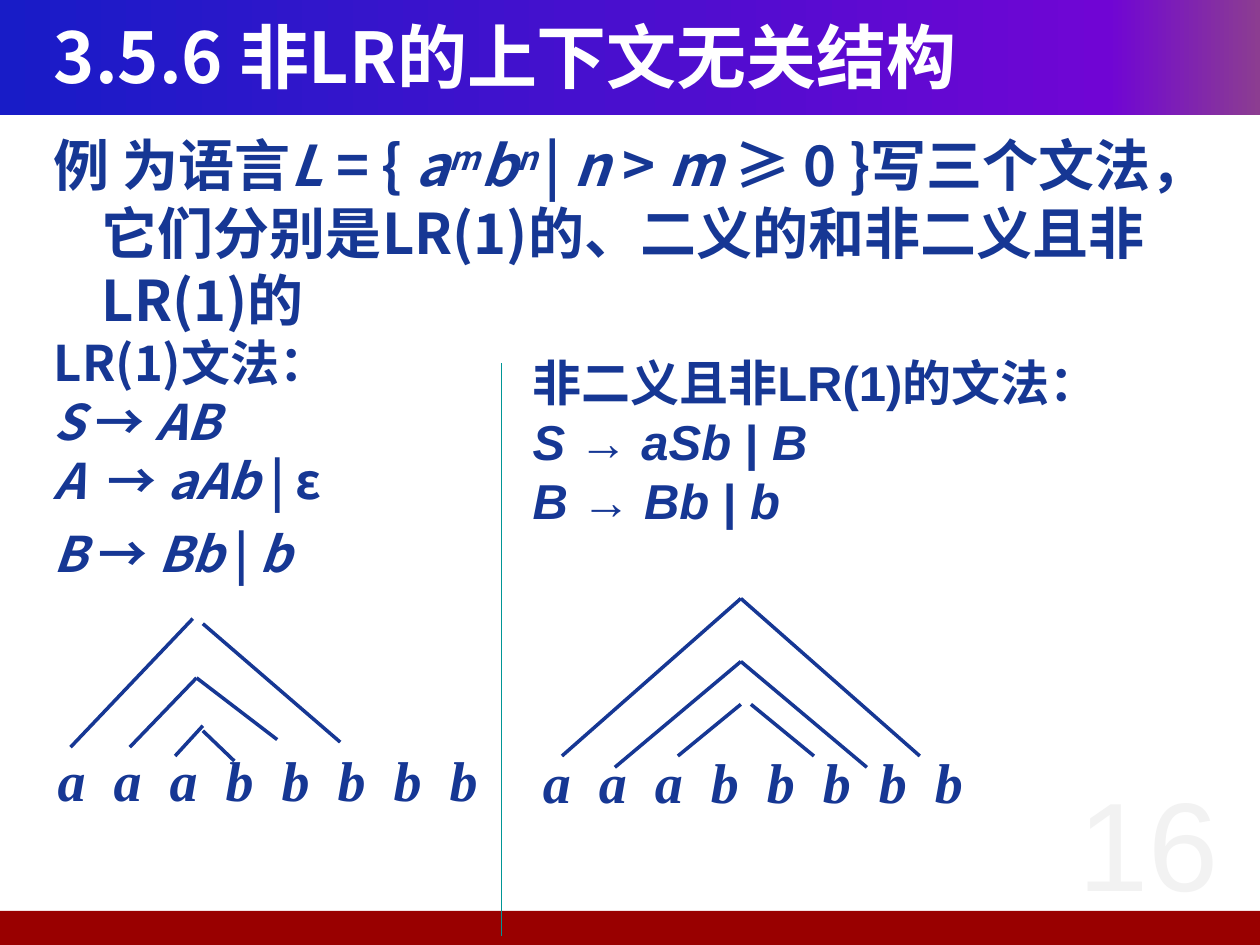
from lxml import etree
from pptx import Presentation
from pptx import util as u
from pptx.dml.color import RGBColor
from pptx.enum import shapes, text
from pptx.oxml.ns import qn

COLORS = {"ink": "163794", "white": "FFFFFF", "footer": "990000",
          "number": "F2F2F2", "divider": "009696"}
BANNER_STOPS = [(0, "181CC7"), (88, "7005D4"), (100, "8C3D91")]
SANS, ARIAL, SERIF = "Noto Sans CJK SC", "Arial", "Times New Roman"

# A run is (text, style flags, optional size); i = italic, ^ = superscript
TITLE = [[("3.5.6 非LR的上下文无关结构", "")]]
EXAMPLE = [
    [("例 为语言", ""), ("L", "i"), (" = { ", ""), ("a", "i"), ("m", "i^"),
     ("b", "i"), ("n ", "i^"), ("| ", ""), ("n", "i"), (" > ", ""), ("m ", "i"),
     ("≥ 0 }写三个文法，它们分别是LR(1)的、二义的和非二义且非LR(1)的", "")],
    [("LR(1)文法：", "", 28)],
    [("S ", "i", 28), ("→ ", "", 28), ("AB", "i", 28)],
    [("A  ", "i", 28), ("→ ", "", 28), ("aAb ", "i", 28), ("| ε", "", 28)],
    [("B ", "i", 28), ("→", "", 28), (" Bb", "i", 28), (" |", "", 28),
     (" b", "i", 28), (" ", "", 36)],
]
UNAMBIGUOUS = [
    [("非二义且非LR(1)的文法：", "")],
    [("S ", "i"), ("→", ""), (" aSb", "i"), (" | ", ""), ("B", "i")],
    [("B ", "i"), ("→ ", ""), ("Bb", "i"), (" | ", ""), ("b", "i")],
]
SENTENCE = [[("  ".join("aaabbbbb"), "i")]]

# Each tree: text corner, then (left foot, left top, right top, right foot)
TREES = [
    ((0.36, 5.87), [
        ((1.39, 6), (1.61, 5.76), (1.61, 5.8), (1.86, 6.04)),
        ((1.03, 5.93), (1.56, 5.38), (1.56, 5.38), (2.2, 5.87)),
        ((0.56, 5.93), (1.53, 4.91), (1.61, 4.95), (2.7, 5.89))]),
    ((4.21, 5.88), [
        ((4.46, 6), (5.88, 4.75), (5.88, 4.75), (7.3, 6)),
        ((4.88, 6.09), (5.88, 5.25), (5.88, 5.25), (6.88, 6.09)),
        ((5.38, 6), (5.88, 5.59), (5.96, 5.59), (6.46, 6))]),
]


def rgb(name):
    """Return the named colour."""
    return RGBColor.from_string(COLORS[name])


def add_bar(parent, left, top, width, height):
    """Add a plain rectangle without line or shadow."""
    bar = parent.add_shape(shapes.MSO_SHAPE.RECTANGLE,
                           *map(u.Inches, (left, top, width, height)))
    bar.shadow.inherit = False
    bar.line.fill.background()
    return bar


def fill_gradient(shape, stops):
    """Fill a shape from left to right with (percent, colour) stops."""
    shape.fill.gradient()
    shape.fill.gradient_angle = 0
    stop_list = shape.fill._fill._gradFill.find(qn("a:gsLst"))
    for old in list(stop_list):
        stop_list.remove(old)
    for percent, color in stops:
        stop = etree.SubElement(stop_list, qn("a:gs"), pos=str(percent * 1000))
        etree.SubElement(stop, qn("a:srgbClr"), val=color)


def add_text(parent, box, paragraphs, size, font=SANS, color="ink", bold=True,
             align=text.PP_ALIGN.LEFT, east_asian=SANS):
    """Add a wrapped text box run by run."""
    shape = parent.add_textbox(*map(u.Inches, box))
    frame = shape.text_frame
    frame.word_wrap = True
    for index, runs in enumerate(paragraphs):
        paragraph = frame.paragraphs[0] if index == 0 else frame.add_paragraph()
        paragraph.alignment = align
        for words, flags, *own_size in runs:
            run = paragraph.add_run()
            run.text = words
            run.font.size = u.Pt(own_size[0] if own_size else size)
            run.font.name = font
            run.font.bold = bold
            run.font.italic = "i" in flags
            run.font.color.rgb = rgb(color)
            properties = run._r.get_or_add_rPr()
            etree.SubElement(properties, qn("a:ea"), typeface=east_asian)
            if "^" in flags:
                properties.set("baseline", "30000")
    return frame


def add_line(parent, start, end, color="ink", width=2):
    """Add a straight line without shadow."""
    line = parent.add_connector(shapes.MSO_CONNECTOR.STRAIGHT,
                                *map(u.Inches, (*start, *end)))
    line.line.color.rgb = rgb(color)
    line.line.width = u.Pt(width)
    etree.SubElement(line._element.spPr, qn("a:effectLst"))


def add_tree(parent, corner, branches):
    """Add a grouped sentence with its nested branches."""
    group = parent.add_group_shape().shapes
    add_text(group, (*corner, 3.67, 0.95), SENTENCE, 32, SERIF,
             align=text.PP_ALIGN.JUSTIFY)
    for left_foot, left_top, right_top, right_foot in branches:
        add_line(group, left_foot, left_top)
        add_line(group, right_top, right_foot)


presentation = Presentation()
presentation.slide_width, presentation.slide_height = u.Inches(10), u.Inches(7.5)
slide = presentation.slides.add_slide(presentation.slide_layouts[6])
canvas = slide.shapes

fill_gradient(add_bar(canvas, 0, 0, 10, 0.91), BANNER_STOPS)
footer = add_bar(canvas, -0.04, 7.23, 10.04, 0.27)
footer.fill.solid()
footer.fill.fore_color.rgb = rgb("footer")

title = add_text(canvas, (0.33, 0.17, 9.25, 0.62), TITLE, 40, color="white")
title.vertical_anchor = text.MSO_ANCHOR.MIDDLE
title.paragraphs[0].line_spacing = 0.9

example = add_text(canvas, (0.33, 0.99, 9.33, 5.5), EXAMPLE, 32)
hanging = example.paragraphs[0]._p.get_or_add_pPr()
hanging.set("marL", str(u.Inches(0.38)))
hanging.set("indent", str(u.Inches(-0.38)))

add_text(canvas, (8.23, 6.03, 1.77, 1.42), [[("16", "")]], 72, ARIAL, "number",
         bold=False, align=text.PP_ALIGN.CENTER)
add_text(canvas, (4.13, 2.75, 4.86, 1.51), UNAMBIGUOUS, 28, ARIAL)
for corner, branches in TREES:
    add_tree(canvas, corner, branches)
add_line(canvas, (3.98, 7.43), (3.98, 2.88), "divider", 0.75)

presentation.save("out.pptx")
